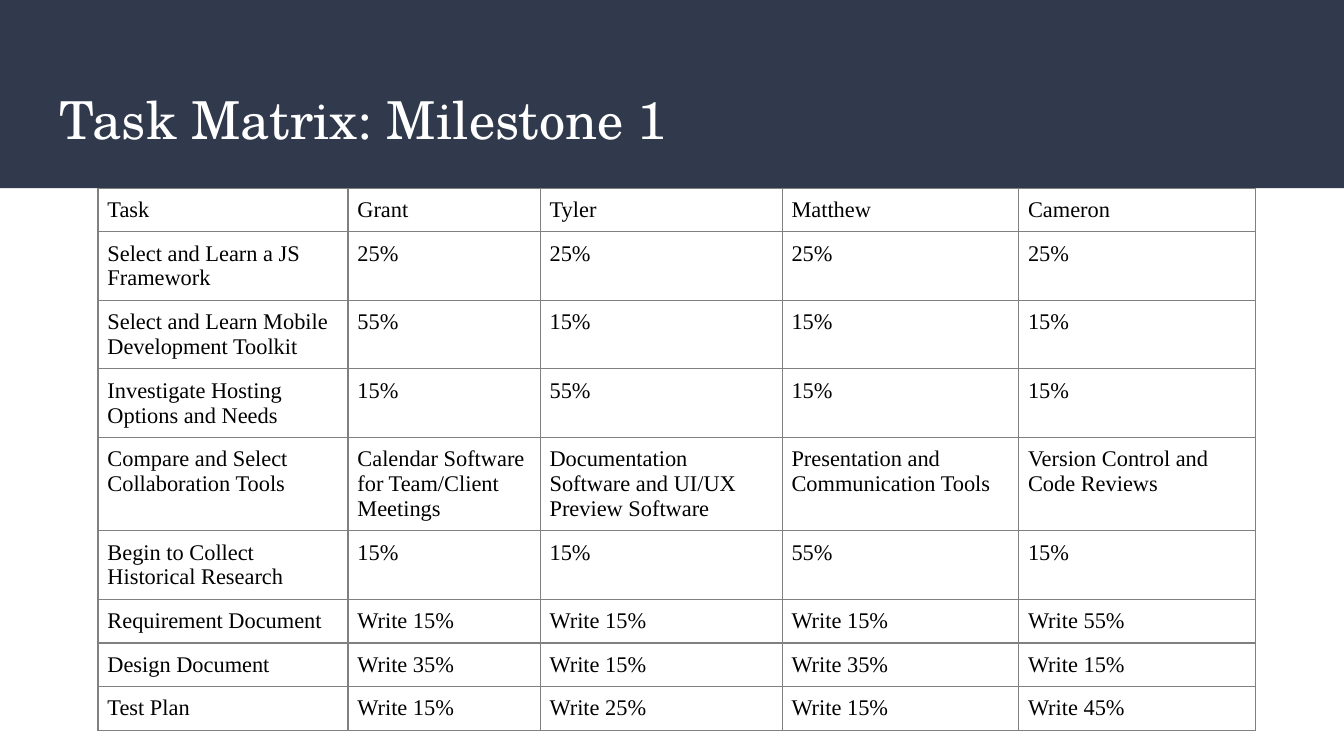
"""Build the task matrix slide for the first milestone."""
from lxml import etree
from pptx import Presentation
from pptx import util as u
from pptx.dml.color import RGBColor
from pptx.enum import shapes, text
from pptx.oxml import ns

NAVY = RGBColor(0x31, 0x39, 0x4D)
WHITE = RGBColor(0xFF, 0xFF, 0xFF)
BLACK = RGBColor(0, 0, 0)
GRAY = RGBColor(0x80, 0x80, 0x80)

WIDE = u.Inches(10)
HIGH = WIDE * 9 // 16
BAND = u.Inches(1.4)
COLS = [1.86, 1.43, 1.8, 1.76, 1.76]
LINE, STEP = 0.3, 0.18
TASKS = [
    ["Task", "Grant", "Tyler", "Matthew", "Cameron"],
    ["Select and Learn a JS Framework", "25%", "25%", "25%", "25%"],
    ["Select and Learn Mobile Development Toolkit", "55%", "15%", "15%", "15%"],
    ["Investigate Hosting Options and Needs", "15%", "55%", "15%", "15%"],
    ["Compare and Select Collaboration Tools",
     "Calendar Software for Team/Client Meetings",
     "Documentation Software and UI/UX Preview Software",
     "Presentation and Communication Tools",
     "Version Control and Code Reviews"],
    ["Begin to Collect Historical Research", "15%", "15%", "55%", "15%"],
    ["Requirement Document", "Write 15%", "Write 15%", "Write 15%", "Write 55%"],
    ["Design Document", "Write 35%", "Write 15%", "Write 35%", "Write 15%"],
    ["Test Plan", "Write 15%", "Write 25%", "Write 15%", "Write 45%"],
]
LINES = [1, 2, 2, 2, 3, 2, 1, 1, 1]


def style(frame, font, size, color, inset):
    """Set the insets of a text holder and the font of its paragraphs."""
    for side in ("left", "right", "top", "bottom"):
        setattr(frame, f"margin_{side}", u.Inches(inset))
    body = getattr(frame, "text_frame", frame)
    for para in body.paragraphs:
        para.font.name = font
        para.font.size = u.Pt(size)
        para.font.color.rgb = color


def edge(cell):
    """Draw a thin gray line on all four sides of a cell."""
    props = cell._tc.get_or_add_tcPr()
    for side in "LRTB":
        line = etree.SubElement(props, ns.qn(f"a:ln{side}"), w=str(u.Pt(0.75)))
        fill = etree.SubElement(line, ns.qn("a:solidFill"))
        etree.SubElement(fill, ns.qn("a:srgbClr"), val=str(GRAY))


def header(slide, left, top, width, height, words):
    """Place the title on a dark band that fills the given box."""
    band = slide.shapes.add_shape(
        shapes.MSO_SHAPE.RECTANGLE, left, top, width, height)
    band.shadow.inherit = False
    band.fill.solid()
    band.fill.fore_color.rgb = NAVY
    band.line.fill.background()
    title = slide.shapes.title
    title.element.addprevious(band.element)
    title.left, title.width = left + int(width * 0.034), int(width * 0.932)
    title.top, title.height = top + int(height * 0.39), int(height * 0.48)
    frame = title.text_frame
    frame.text = words
    frame.word_wrap = True
    frame.auto_size = text.MSO_AUTO_SIZE.NONE
    frame.vertical_anchor = text.MSO_ANCHOR.MIDDLE
    frame.paragraphs[0].alignment = text.PP_ALIGN.LEFT
    style(frame, "TeX Gyre Schola", 28, WHITE, 0.1)


def matrix(slide, left, top, data):
    """Place the task table with its top left corner at the given point."""
    highs = [u.Inches(LINE + STEP * (count - 1)) for count in LINES]
    wides = [u.Inches(col) for col in COLS]
    table = slide.shapes.add_table(
        len(data), len(COLS), left, top, sum(wides), sum(highs)).table
    table.first_row = table.horz_banding = False
    for col, wide in zip(table.columns, wides):
        col.width = wide
    for row, high, words in zip(table.rows, highs, data):
        row.height = high
        for cell, word in zip(row.cells, words):
            cell.text = word
            style(cell, "Times New Roman", 12, BLACK, 0.07)
            edge(cell)
            cell.fill.background()


def main():
    """Build and save the slide."""
    deck = Presentation()
    deck.slide_width, deck.slide_height = WIDE, HIGH
    slide = deck.slides.add_slide(deck.slide_layouts[5])
    header(slide, 0, 0, WIDE, BAND, "Task Matrix: Milestone 1")
    matrix(slide, int(WIDE * 0.073), BAND, TASKS)
    deck.save("out.pptx")


if __name__ == "__main__":
    main()
